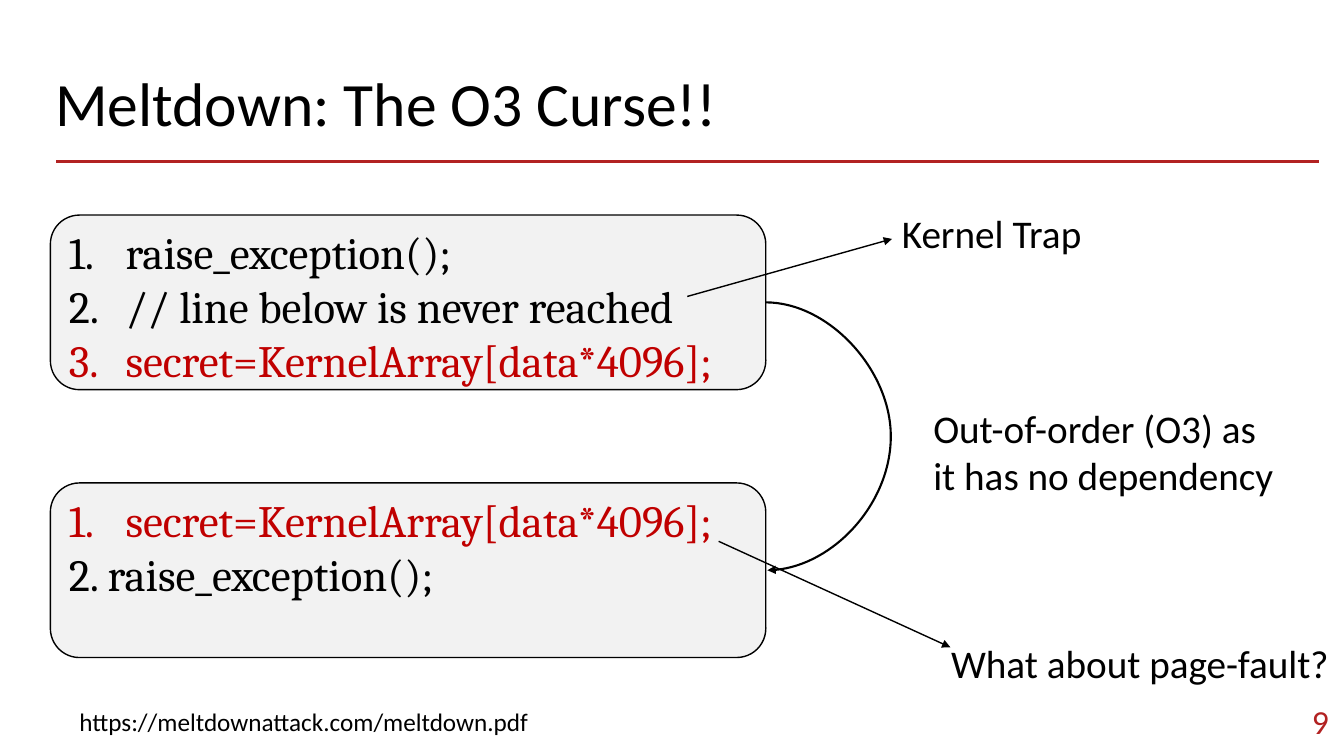
from lxml import etree
from pptx import Presentation
from pptx.dml.color import RGBColor
from pptx.enum.shapes import MSO_CONNECTOR, MSO_SHAPE
from pptx.enum.text import MSO_ANCHOR, MSO_AUTO_SIZE, PP_ALIGN
from pptx.oxml.ns import qn
from pptx.util import Cm, Pt

BLACK = RGBColor(0x00, 0x00, 0x00)
CODE_RED = RGBColor(0xC0, 0x00, 0x00)
BRICK = RGBColor(0xB2, 0x22, 0x22)
PANEL = RGBColor(0xF2, 0xF2, 0xF2)

STRAIGHT, CURVE = MSO_CONNECTOR.STRAIGHT, MSO_CONNECTOR.CURVE
ROUNDED = MSO_SHAPE.ROUNDED_RECTANGLE
TOP, MIDDLE = MSO_ANCHOR.TOP, MSO_ANCHOR.MIDDLE
LEFT, RIGHT = PP_ALIGN.LEFT, PP_ALIGN.RIGHT
NO_AUTOFIT = MSO_AUTO_SIZE.NONE

TITLE_ONLY = 5
NUMBER_INDENT = Cm(1.43)
PANEL_LEFT, PANEL_WIDTH, PANEL_HEIGHT = 1.27, 18.03, 4.4
PANEL_RIGHT = PANEL_LEFT + PANEL_WIDTH
TRAP_PANEL_TOP, REORDERED_PANEL_TOP = 5.42, 12.17


def number_paragraph(paragraph):
    properties = paragraph._p.get_or_add_pPr()
    properties.set("marL", str(NUMBER_INDENT))
    properties.set("indent", str(-NUMBER_INDENT))
    numbering = etree.SubElement(properties, qn("a:buAutoNum"))
    numbering.set("type", "arabicPeriod")


def write_text(frame, lines, size=28, font="Calibri", align=LEFT,
               anchor=TOP, wrap=True, spacing=None):
    """Fill a frame with (text, colour, numbered) lines."""
    frame.auto_size = NO_AUTOFIT
    frame.word_wrap = wrap
    frame.vertical_anchor = anchor
    for index, (text, colour, numbered) in enumerate(lines):
        paragraph = frame.paragraphs[0] if index == 0 else frame.add_paragraph()
        if numbered:
            number_paragraph(paragraph)
        paragraph.alignment = align
        if spacing:
            paragraph.line_spacing = spacing
        run = paragraph.add_run()
        run.text = text
        run.font.size = Pt(size)
        run.font.name = font
        run.font.color.rgb = colour


def add_label(slide, box, *texts, colour=BLACK, **text_format):
    label = slide.shapes.add_textbox(*map(Cm, box))
    write_text(label.text_frame, [(text, colour, False) for text in texts],
               **text_format)


def add_code_panel(slide, top, lines):
    panel = slide.shapes.add_shape(
        ROUNDED, Cm(PANEL_LEFT), Cm(top), Cm(PANEL_WIDTH), Cm(PANEL_HEIGHT))
    panel.shadow.inherit = False
    panel.fill.solid()
    panel.fill.fore_color.rgb = PANEL
    panel.line.color.rgb = BLACK
    panel.line.width = Pt(1)
    panel.text_frame.margin_top = Cm(0.04)
    panel.text_frame.margin_bottom = Cm(0)
    write_text(panel.text_frame, lines, size=32, font="Cambria")


def add_line(slide, start, end, kind=STRAIGHT, colour=BLACK, width=1, arrow=True):
    line = slide.shapes.add_connector(kind, *map(Cm, start + end))
    line.line.color.rgb = colour
    line.line.width = Pt(width)
    if arrow:
        head = etree.SubElement(line.line._get_or_add_ln(), qn("a:tailEnd"))
        head.set("type", "triangle")
    etree.SubElement(line._element.spPr, qn("a:effectLst"))
    return line


def add_reorder_arrow(slide, bulge=3.15, offset=0.04):
    """Curve from the first code panel round to the second."""
    half = PANEL_HEIGHT / 2
    arrow = add_line(slide, (PANEL_RIGHT, TRAP_PANEL_TOP + half),
                     (PANEL_RIGHT + offset, REORDERED_PANEL_TOP + half),
                     kind=CURVE, width=1.5)
    adjustments = arrow._element.spPr.find(qn("a:prstGeom")).find(qn("a:avLst"))
    guide = etree.SubElement(adjustments, qn("a:gd"))
    guide.set("name", "adj1")
    guide.set("fmla", f"val {round(bulge / offset * 100000)}")


def add_title(slide, text):
    title = slide.shapes.title
    title.left, title.top, title.width, title.height = map(
        Cm, (1.14, 1.63, 31.55, 2.13))
    write_text(title.text_frame, [(text, BLACK, False)], size=44,
               anchor=MIDDLE, spacing=0.9)
    add_line(slide, (1.42, 4.07), (33.25, 4.07), colour=BRICK, width=1.5,
             arrow=False)


def main():
    deck = Presentation()
    deck.slide_width, deck.slide_height = Cm(33.87), Cm(19.05)
    slide = deck.slides.add_slide(deck.slide_layouts[TITLE_ONLY])

    add_title(slide, "Meltdown: The O3 Curse!!")
    add_label(slide, (31.17, 17.45, 2.57, 1.45), "9", colour=BRICK, size=24,
              align=RIGHT, anchor=MIDDLE)

    secret_read = ("secret=KernelArray[data*4096];", CODE_RED, True)
    add_code_panel(slide, TRAP_PANEL_TOP, [
        ("raise_exception();", BLACK, True),
        ("// line below is never reached", BLACK, True),
        secret_read,
    ])
    add_code_panel(slide, REORDERED_PANEL_TOP, [
        secret_read,
        ("2. raise_exception();", BLACK, False),
    ])

    add_reorder_arrow(slide)
    add_label(slide, (23.27, 10.06, 9.19, 2.64), "Out-of-order (O3) as",
              "it has no dependency", wrap=False)
    add_line(slide, (17.32, 7.47), (22.48, 6.02))
    add_label(slide, (22.48, 5.16, 5.08, 1.45), "Kernel Trap", wrap=False)
    add_line(slide, (18.11, 13.64), (23.95, 16.31))
    add_label(slide, (23.72, 15.98, 10.13, 1.45), "What about page-fault?",
              wrap=False)
    add_label(slide, (1.75, 17.68, 17.07, 1.02),
              "https://meltdownattack.com/meltdown.pdf", size=18)

    deck.save("out.pptx")


if __name__ == "__main__":
    main()
